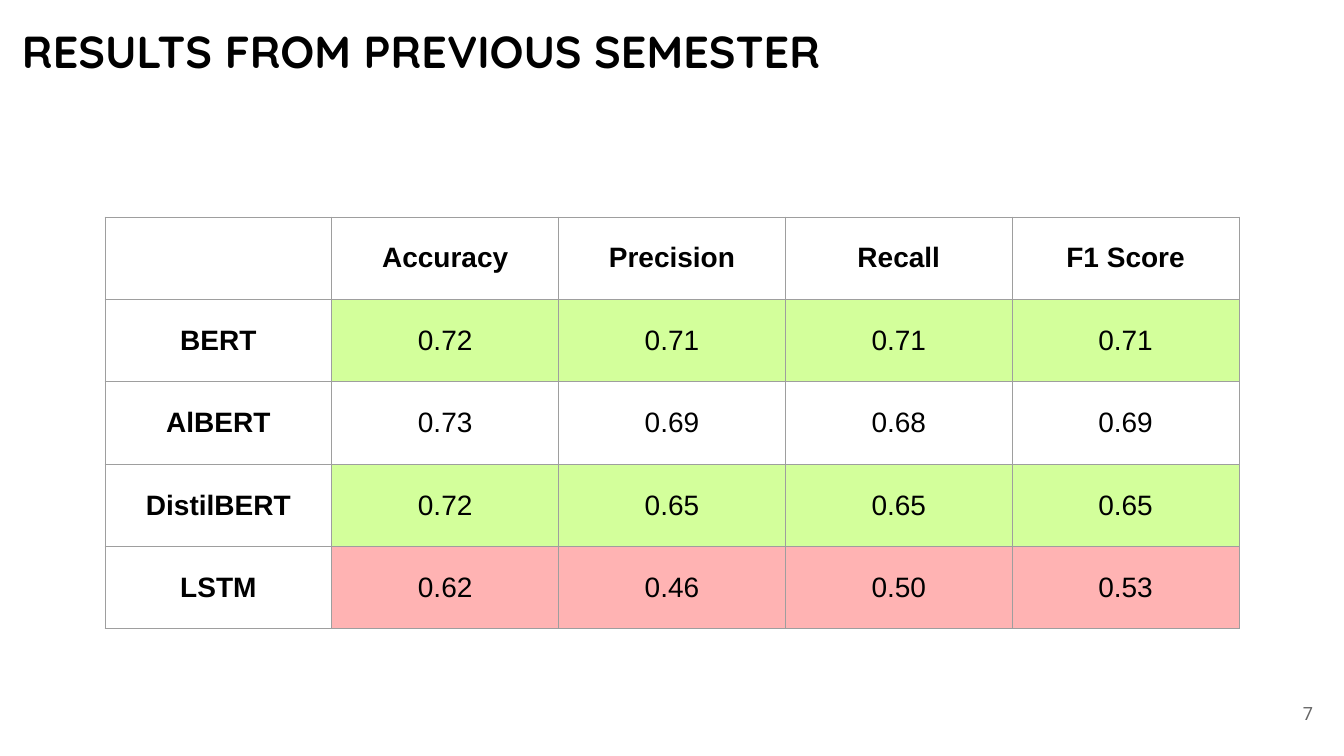
"""Build a slide with a table of model scores."""
from lxml import etree
from pptx import Presentation
from pptx.dml.color import RGBColor
from pptx.enum.text import MSO_ANCHOR, PP_ALIGN
from pptx.oxml.ns import qn
from pptx.util import Pt

LEFT, CENTER, RIGHT = PP_ALIGN.LEFT, PP_ALIGN.CENTER, PP_ALIGN.RIGHT
TOP, MIDDLE = MSO_ANCHOR.TOP, MSO_ANCHOR.MIDDLE

TITLE = "RESULTS FROM PREVIOUS SEMESTER"
PAGE = "7"
HEADS = ["", "Accuracy", "Precision", "Recall", "F1 Score"]
MODELS = [
    ("BERT", ["0.72", "0.71", "0.71", "0.71"], "good"),
    ("AlBERT", ["0.73", "0.69", "0.68", "0.69"], None),
    ("DistilBERT", ["0.72", "0.65", "0.65", "0.65"], "good"),
    ("LSTM", ["0.62", "0.46", "0.50", "0.53"], "poor"),
]

THEME = {
    "ink": "000000", "muted": "666666", "grid": "9E9E9E",
    "good": "D3FF9B", "poor": "FFB3B3",
    "title": {"name": "Quicksand", "size": Pt(32), "bold": True},
    "page": {"name": "Roboto", "size": Pt(13), "bold": False},
    "label": {"name": "Arial", "size": Pt(20), "bold": True},
    "value": {"name": "Arial", "size": Pt(20), "bold": False},
}
WIDE, HIGH = 1344, 756
TITLE_BOX = (12, 14, 1306, 75)
PAGE_BOX = (1245, 685, 81, 57)
GRID_BOX = (105, 217, 1134, 412)
SIDES = ("left", "top", "right", "bottom")


def emu(px):
    """Turn px into EMU."""
    return round(px * 12192000 / WIDE)


def write(frame, text, kind, ink, align):
    """Put one styled line in a text frame."""
    para = frame.paragraphs[0]
    para.alignment = align
    run = para.add_run()
    run.text = text
    for key, val in THEME[kind].items():
        setattr(run.font, key, val)
    run.font.color.rgb = RGBColor.from_string(THEME[ink])


def pad(part, px):
    """Set equal margins on a frame or cell."""
    for side in SIDES:
        setattr(part, "margin_" + side, emu(px))


def add_text(slide, box, text, kind, ink, align, anchor, inset):
    """Add a text box."""
    frame = slide.shapes.add_textbox(*map(emu, box)).text_frame
    frame.word_wrap = True
    frame.vertical_anchor = anchor
    pad(frame, inset)
    write(frame, text, kind, ink, align)


def rule(cell):
    """Draw the four borders of a cell."""
    props = cell._tc.get_or_add_tcPr()
    for tag in ("a:lnL", "a:lnR", "a:lnT", "a:lnB"):
        line = etree.SubElement(props, qn(tag), w=str(Pt(0.75)))
        fill = etree.SubElement(line, qn("a:solidFill"))
        etree.SubElement(fill, qn("a:srgbClr"), val=THEME["grid"])


def add_grid(slide):
    """Add the score table."""
    rows = [(HEADS, None)]
    rows += [([name, *vals], tone) for name, vals, tone in MODELS]
    box = [emu(px) for px in GRID_BOX]
    table = slide.shapes.add_table(len(rows), len(HEADS), *box).table
    table.horz_banding = False
    for col in table.columns:
        col.width = box[2] // len(HEADS)
    for row in table.rows:
        row.height = box[3] // len(rows)
    for r, (texts, tone) in enumerate(rows):
        for c, text in enumerate(texts):
            cell = table.cell(r, c)
            cell.vertical_anchor = MIDDLE
            pad(cell, 10)
            rule(cell)
            if tone and c:
                cell.fill.solid()
                cell.fill.fore_color.rgb = RGBColor.from_string(THEME[tone])
            else:
                cell.fill.background()
            if text:
                kind = "value" if r and c else "label"
                write(cell.text_frame, text, kind, "ink", CENTER)


def main():
    """Make and save the deck."""
    deck = Presentation()
    deck.slide_width, deck.slide_height = emu(WIDE), emu(HIGH)
    slide = deck.slides.add_slide(deck.slide_layouts[6])
    add_text(slide, PAGE_BOX, PAGE, "page", "muted", RIGHT, MIDDLE, 13)
    add_text(slide, TITLE_BOX, TITLE, "title", "ink", LEFT, TOP, 10)
    add_grid(slide)
    deck.save("out.pptx")


if __name__ == "__main__":
    main()
